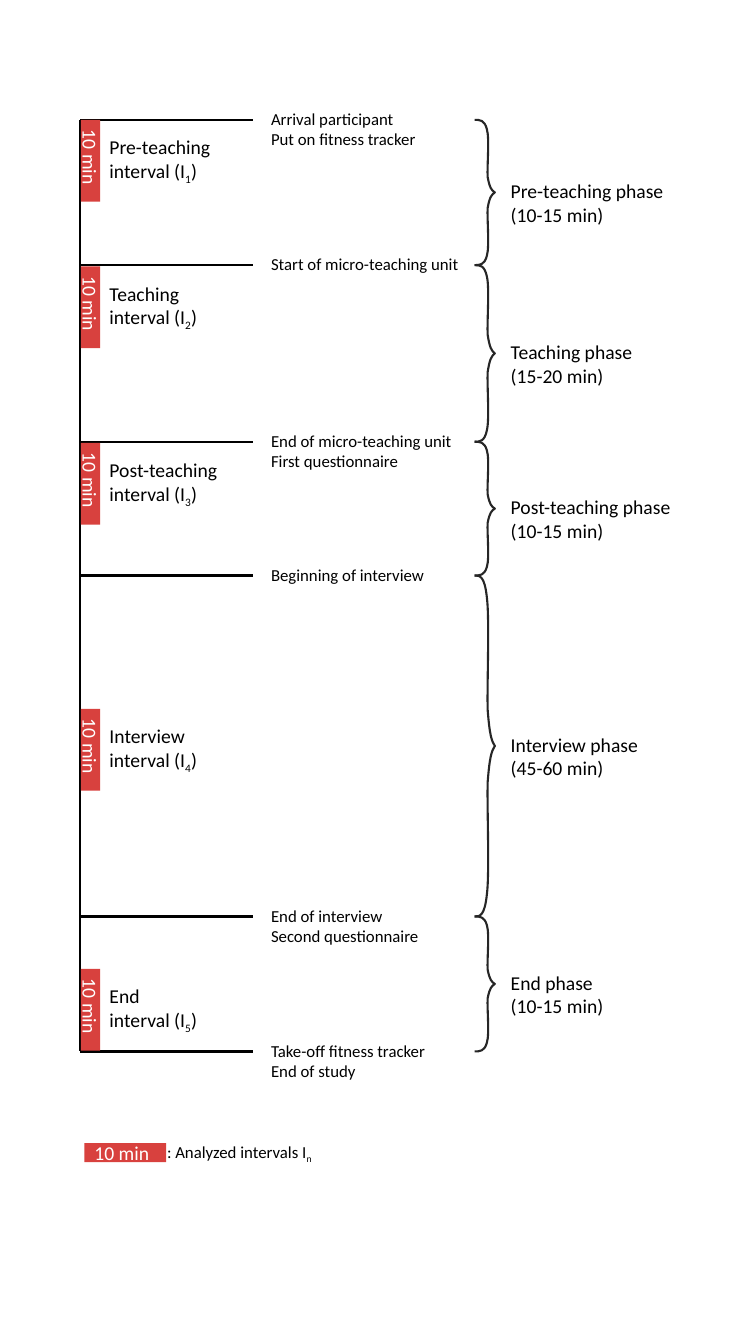
"""Draw a study timeline with its intervals, events and phases."""
from dataclasses import dataclass

from pptx import Presentation
from pptx.dml.color import RGBColor
from pptx.enum.shapes import MSO_CONNECTOR as LINK, MSO_SHAPE as SHAPE
from pptx.enum.text import MSO_ANCHOR as ANCHOR, MSO_AUTO_SIZE as FIT, PP_ALIGN as ALIGN
from pptx.oxml.ns import qn
from pptx.oxml.xmlchemy import OxmlElement as Node
from pptx.util import Cm, Pt


@dataclass(frozen=True)
class Theme:
    font: str = "Calibri"
    ink: RGBColor = RGBColor(0, 0, 0)
    brace: RGBColor = RGBColor(0x26, 0x26, 0x26)
    bar: RGBColor = RGBColor(0xD8, 0x41, 0x3E)
    white: RGBColor = RGBColor(0xFF, 0xFF, 0xFF)
    large: Pt = Pt(14)
    small: Pt = Pt(12)
    line: Pt = Pt(1.5)


theme = Theme()


def write(frame, text, size, color):
    frame.text = ""
    for row, line in enumerate(text.split("\n")):
        para = frame.add_paragraph() if row else frame.paragraphs[0]
        para.alignment = ALIGN.LEFT
        for part, words in enumerate(line.split("|")):
            run = para.add_run()
            run.text = words
            run.font.name = theme.font
            run.font.size = size
            run.font.color.rgb = color
            if part % 2:
                run.font._element.set("baseline", "-25000")


def label(left, top, width, text, size):
    box = shapes.add_textbox(Cm(left), Cm(top), Cm(width), Cm(0.76))
    box.text_frame.word_wrap = True
    box.text_frame.auto_size = FIT.SHAPE_TO_FIT_TEXT
    write(box.text_frame, text, size, theme.ink)


deck = Presentation()
deck.slide_width, deck.slide_height = Cm(19.05), Cm(33.86)
shapes = deck.slides.add_slide(deck.slide_layouts[6]).shapes

spine = 2.02
bar_long, bar_wide = 2.06, 0.48
events = [
    (3.02, "Arrival participant\nPut on fitness tracker"),
    (6.68, "Start of micro-teaching unit"),
    (11.13, "End of micro-teaching unit\nFirst questionnaire"),
    (14.5, "Beginning of interview"),
    (23.09, "End of interview\nSecond questionnaire"),
    (26.49, "Take-off fitness tracker\nEnd of study"),
]
intervals = [
    (3.02, 3.68, "Pre-teaching"),
    (6.71, 3.68, "Teaching"),
    (11.16, 3.35, "Post-teaching"),
    (17.86, 3.68, "Interview"),
    (24.41, 2.77, "End"),
]
phases = [
    "Pre-teaching phase\n(10-15 min)",
    "Teaching phase\n(15-20 min)",
    "Post-teaching phase\n(10-15 min)",
    "Interview phase\n(45-60 min)",
    "End phase\n(10-15 min)",
]
ticks = [tick for tick, text in events]

lines = [(spine, ticks[0], spine, ticks[-1])]
lines += [(spine, tick, 6.38, tick) for tick in ticks]
for ends in lines:
    line = shapes.add_connector(LINK.STRAIGHT, *map(Cm, ends))
    line.line.color.rgb = theme.ink
    line.line.width = theme.line
    line._element.spPr.append(Node("a:effectLst"))

for tick, text in events:
    label(6.58, tick - 0.4, 6.27, text, theme.small)

bars = [(2.28, top + bar_long / 2, 90) for top, width, name in intervals]
bars.append((3.16, 29.04, 0))
for x, y, turn in bars:
    bar = shapes.add_shape(SHAPE.RECTANGLE, Cm(x - bar_long / 2), Cm(y - bar_wide / 2),
                           Cm(bar_long), Cm(bar_wide))
    bar.rotation = turn
    bar.shadow.inherit = False
    bar.fill.solid()
    bar.fill.fore_color.rgb = theme.bar
    bar.line.fill.background()
    frame = bar.text_frame
    frame.margin_top = frame.margin_bottom = 0
    frame.vertical_anchor = ANCHOR.MIDDLE
    frame.word_wrap = True
    write(frame, "10 min", theme.large, theme.white)

for order, (top, width, name) in enumerate(intervals, 1):
    label(2.51, top + 0.26, width, f"{name} interval (I|{order}|)", theme.large)

half = [(0, 0), (0.13, 0), (0.25, 0), (0.31, 0.13), (0.38, 0.26),
        (0.31, 0.65), (0.33, 0.79), (0.38, 0.94), (0.43, 0.97), (0.51, 1)]
curve = half + [(x, 2 - y) for x, y in half[-2::-1]]
for top, base, text in zip(ticks, ticks[1:], phases):
    reach = (base - top) / 2
    spots = [(Cm(11.96 + x), Cm(top + y * reach)) for x, y in curve]
    maker = shapes.build_freeform(*spots[0])
    maker.add_line_segments(spots[1:], close=False)
    brace = maker.convert_to_shape()
    brace.shadow.inherit = False
    brace.fill.background()
    brace.line.color.rgb = theme.brace
    brace.line.width = theme.line
    for step, part in enumerate(list(brace._element.iter(qn("a:lnTo")))):
        if step % 3 == 0:
            bend = Node("a:cubicBezTo")
            part.addprevious(bend)
        bend.append(part[0])
        part.getparent().remove(part)
    label(12.62, top + reach - 0.46, 5.33, text, theme.large)

label(3.96, 28.63, 6.27, ": Analyzed intervals I|n", theme.small)

deck.save("out.pptx")
